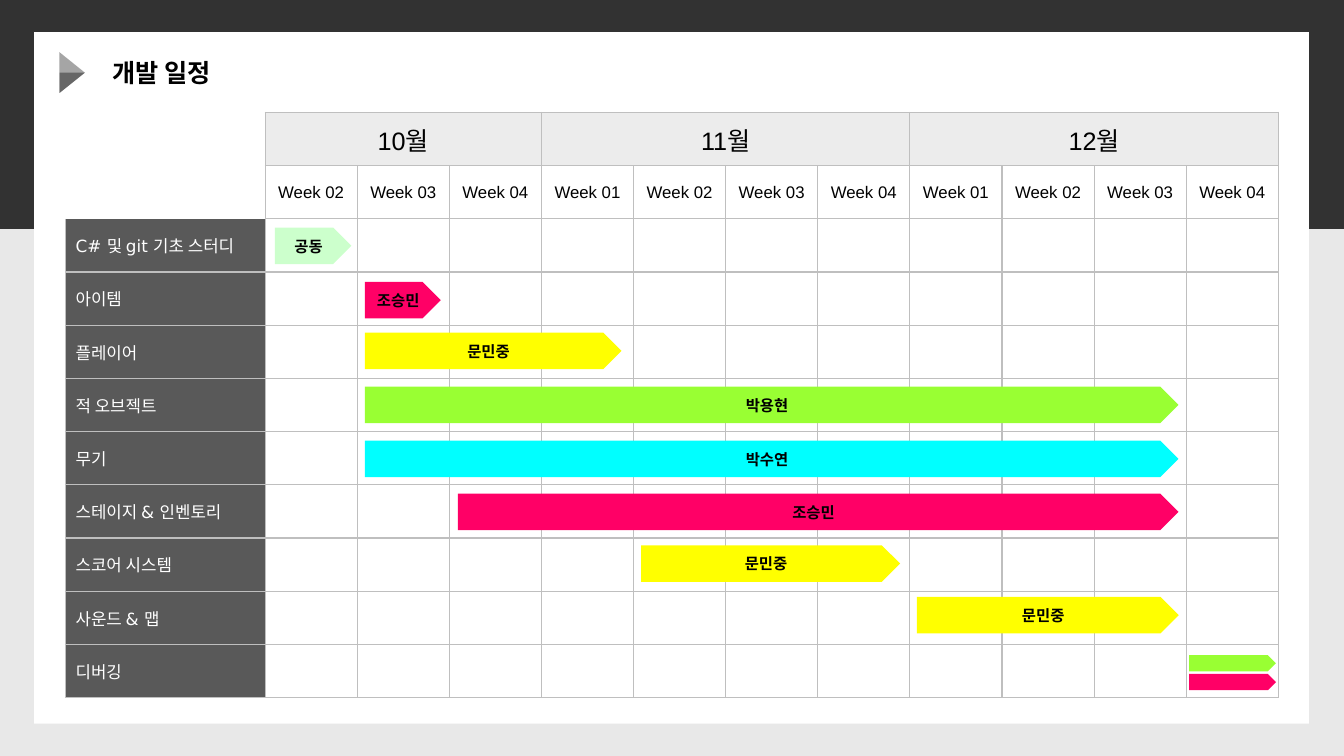
from lxml import etree
from pptx import Presentation
from pptx.dml.color import RGBColor
from pptx.enum import shapes, text
from pptx.oxml import ns
from pptx.util import Pt

BACKDROP = RGBColor(0xE8, 0xE8, 0xE8)
CHARCOAL = RGBColor(0x32, 0x32, 0x32)
WHITE = RGBColor(0xFF, 0xFF, 0xFF)
BLACK = RGBColor(0, 0, 0)
HEADER = RGBColor(0xEC, 0xEC, 0xEC)
LABEL = RGBColor(0x59, 0x59, 0x59)
GRID = RGBColor(0xBF, 0xBF, 0xBF)
MARKER = RGBColor(0x4C, 0x4C, 0x4C)
MINT = RGBColor(0xCC, 0xFF, 0xCC)
PINK = RGBColor(0xFF, 0x00, 0x66)
YELLOW = RGBColor(0xFF, 0xFF, 0x00)
LIME = RGBColor(0x99, 0xFF, 0x33)
CYAN = RGBColor(0x00, 0xFF, 0xFF)

MONTHS = [("10월", 1, 3), ("11월", 4, 7), ("12월", 8, 11)]
WEEKS = [2, 3, 4, 1, 2, 3, 4, 1, 2, 3, 4]
TASKS = ["C# 및 git 기초 스터디", "아이템", "플레이어", "적 오브젝트", "무기",
         "스테이지 & 인벤토리", "스코어 시스템", "사운드 & 맵", "디버깅"]
BARS = [
    ("공동", 196.4, 162.6, 54.6, 26, MINT),
    ("조승민", 260.6, 201.4, 54.3, 26, PINK),
    ("문민중", 260.6, 237.6, 183.4, 26, YELLOW),
    ("박용현", 260.6, 276.2, 581.2, 26, LIME),
    ("박수연", 260.6, 314.8, 581.2, 26, CYAN),
    ("조승민", 327, 352.6, 514.8, 26, PINK),
    ("문민중", 458, 389.6, 185, 26, YELLOW),
    ("문민중", 655, 426.4, 187, 26, YELLOW),
    ("", 849.4, 468, 62, 11.6, LIME),
    ("", 849.4, 481.4, 62, 11.6, PINK),
]
MONTH_FONT = {"name": "Arial", "size": Pt(18), "bold": False}
WEEK_FONT = {"name": "Arial", "size": Pt(12), "bold": False}
TASK_FONT = {"name": "DejaVu Sans", "size": Pt(12), "bold": False}
BAR_FONT = {"name": "Calibri", "size": Pt(11), "bold": True}
TITLE_FONT = {"name": "Noto Sans CJK KR", "size": Pt(18), "bold": True}

deck = Presentation()
deck.slide_width, deck.slide_height = Pt(960), Pt(540)
page = deck.slides.add_slide(deck.slide_layouts[5])
page.background.fill.solid()
page.background.fill.fore_color.rgb = BACKDROP


def write(frame, wording, font, color=BLACK, align=text.PP_ALIGN.CENTER):
    para = frame.paragraphs[0]
    para.alignment = align
    span = para.add_run()
    span.text = wording
    for name, value in font.items():
        setattr(span.font, name, value)
    span.font.color.rgb = color


def draw(kind, left, top, width, height, color):
    shape = page.shapes.add_shape(kind, Pt(left), Pt(top), Pt(width), Pt(height))
    shape.shadow.inherit = False
    shape.fill.solid()
    shape.fill.fore_color.rgb = color
    shape.line.fill.background()
    return shape


draw(shapes.MSO_SHAPE.RECTANGLE, 0, 0, 960, 163.6, CHARCOAL)
draw(shapes.MSO_SHAPE.RECTANGLE, 24.5, 23, 910.5, 494, WHITE)

schedule = page.shapes.add_table(11, 12, Pt(46.8), Pt(80.4), Pt(866.4), Pt(418)).table
for index, column in enumerate(schedule.columns):
    column.width = Pt(65.8 if index else 142.6)
for row in schedule.rows:
    row.height = Pt(38)

for row in range(11):
    for column in range(12):
        cell = schedule.cell(row, column)
        cell.vertical_anchor = text.MSO_ANCHOR.MIDDLE
        corner = row < 2 and column == 0
        properties = cell._tc.get_or_add_tcPr()
        for side in ("L", "R", "T", "B"):
            border = etree.SubElement(properties, ns.qn("a:ln" + side), w=str(Pt(1)))
            if (corner and side != "R") or (row == 2 and column == 0 and side == "T"):
                etree.SubElement(border, ns.qn("a:noFill"))
            else:
                paint = etree.SubElement(border, ns.qn("a:solidFill"))
                etree.SubElement(paint, ns.qn("a:srgbClr"), val=str(GRID))
        cell.fill.solid()
        if corner or (row and column):
            cell.fill.fore_color.rgb = WHITE
        else:
            cell.fill.fore_color.rgb = LABEL if row else HEADER

for month, first, last in MONTHS:
    cell = schedule.cell(0, first)
    cell.merge(schedule.cell(0, last))
    write(cell.text_frame, month, MONTH_FONT)
for column, week in enumerate(WEEKS, 1):
    write(schedule.cell(1, column).text_frame, f"Week {week:02}", WEEK_FONT)
for row, task in enumerate(TASKS, 2):
    write(schedule.cell(row, 0).text_frame, task, TASK_FONT, WHITE, text.PP_ALIGN.LEFT)

for owner, left, top, width, height, color in BARS:
    bar = draw(shapes.MSO_SHAPE.PENTAGON, left, top, width, height, color)
    if owner:
        bar.text_frame.word_wrap = True
        bar.text_frame.vertical_anchor = text.MSO_ANCHOR.MIDDLE
        write(bar.text_frame, owner, BAR_FONT)

title = page.shapes.title
title.left, title.top, title.width, title.height = Pt(61.2), Pt(37.4), Pt(108.7), Pt(28.8)
title_format = {"word_wrap": True, "auto_size": text.MSO_AUTO_SIZE.NONE,
                "vertical_anchor": text.MSO_ANCHOR.MIDDLE}
for name, value in title_format.items():
    setattr(title.text_frame, name, value)
write(title.text_frame, "개발 일정", TITLE_FONT)
title.element.getparent().append(title.element)

for kind, left, top, width, opacity in (
    (shapes.MSO_SHAPE.ISOSCELES_TRIANGLE, 37, 42.8, 29, 50),
    (shapes.MSO_SHAPE.RIGHT_TRIANGLE, 44.4, 50.2, 14.4, 70),
):
    marker = draw(kind, left, top, width, 18, MARKER)
    marker.rotation = 90
    tint = marker.element.spPr.find(ns.qn("a:solidFill")).find(ns.qn("a:srgbClr"))
    etree.SubElement(tint, ns.qn("a:alpha"), val=str(opacity * 1000))

deck.save("out.pptx")
